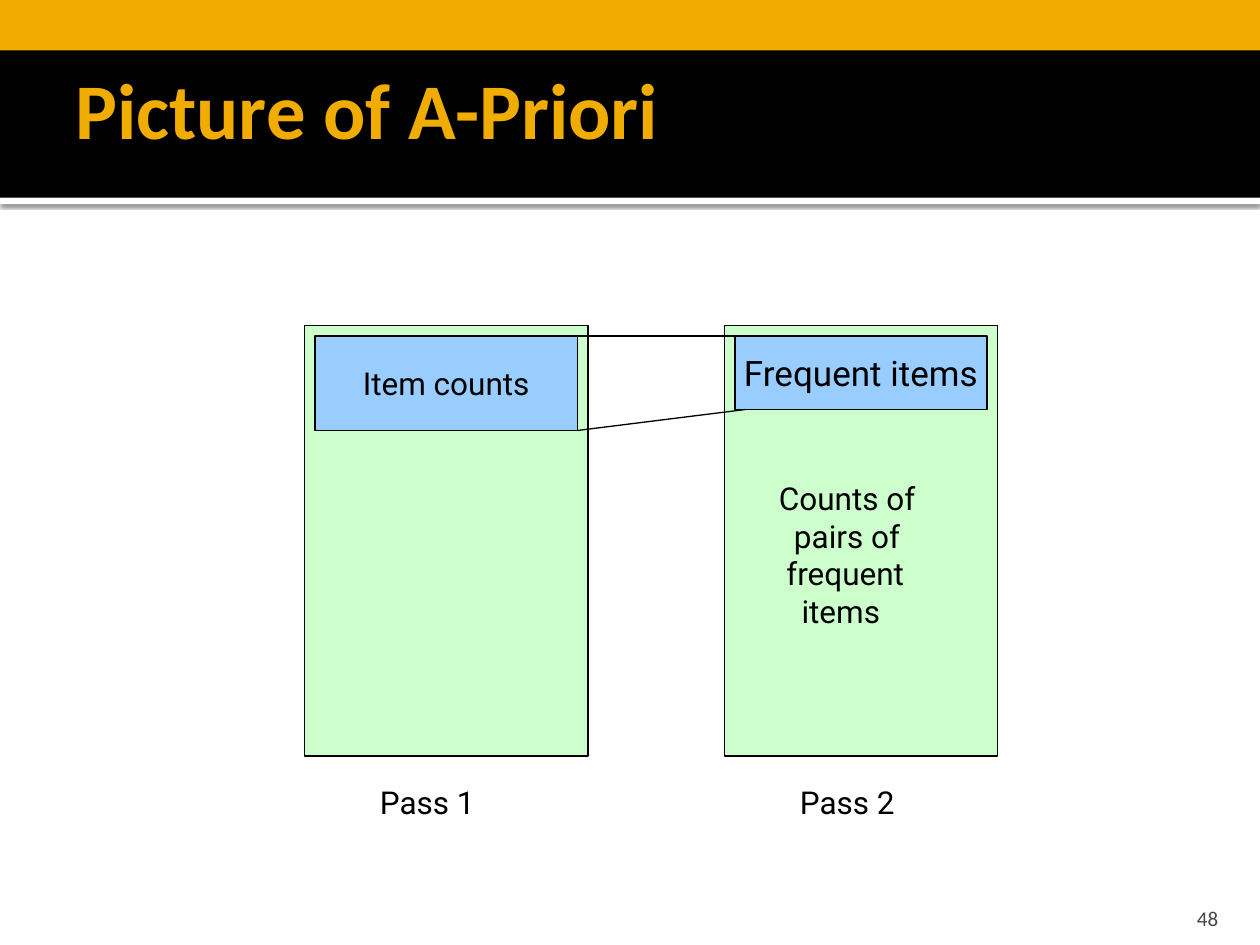
from lxml.etree import SubElement
from pptx import Presentation
from pptx.dml.color import RGBColor
from pptx.enum.shapes import MSO_CONNECTOR, MSO_SHAPE
from pptx.enum.text import MSO_ANCHOR, PP_ALIGN
from pptx.oxml.ns import qn
from pptx.util import Inches, Pt

CELL = Inches(1) // 12  # the slide is a grid of 120 columns by 90 rows
BLACK, WHITE, GOLD, GREY = "000000", "FFFFFF", "F0AD00", "454545"
GREEN, BLUE = "CCFFCC", "99CCFF"
TOP = 31  # row where the memory of both passes begins
ITEMS_TOP = TOP + 1
SPACE = Inches(0.06)  # one step of indent


def cells(*counts):
    return [round(count * CELL) for count in counts]


def paint(colour_format, colour):
    colour_format.rgb = RGBColor.from_string(colour)


def outline(line):
    line.width = Pt(0.75)
    line.fill.solid()
    paint(line.color, BLACK)


def write(shape, lines, size=18, font="Roboto", colour=BLACK, bold=False,
          align=PP_ALIGN.LEFT, indents=(), **frame_format):
    """Fill a shape with one paragraph per line, indented by steps."""
    frame = shape.text_frame
    frame.word_wrap = True
    for name, value in frame_format.items():
        setattr(frame, name, value)
    frame.text = "\n".join(lines)
    for paragraph in frame.paragraphs:
        paragraph.alignment = align
        font_format = {"name": font, "size": Pt(size), "bold": bold}
        for name, value in font_format.items():
            setattr(paragraph.runs[0].font, name, value)
        paint(paragraph.runs[0].font.color, colour)
    for paragraph, steps in zip(frame.paragraphs, indents):
        paragraph._p.get_or_add_pPr().set("marL", str(steps * SPACE))


def rectangle(slide, at, fill, outlined=True):
    shape = slide.shapes.add_shape(MSO_SHAPE.RECTANGLE, *cells(*at))
    shape.shadow.inherit = False
    shape.fill.solid()
    paint(shape.fill.fore_color, fill)
    if outlined:
        outline(shape.line)
    else:
        shape.line.fill.background()
    return shape


def items_block(slide, at, label, size):
    write(rectangle(slide, at, BLUE), [label], size, align=PP_ALIGN.CENTER,
          word_wrap=False, vertical_anchor=MSO_ANCHOR.MIDDLE)


def label(slide, at, lines, **text_format):
    write(slide.shapes.add_textbox(*cells(*at)), lines, **text_format)


def link(slide, start, end):
    connector = slide.shapes.add_connector(
        MSO_CONNECTOR.STRAIGHT, *cells(*start, *end))
    outline(connector.line)
    SubElement(connector._element.spPr, qn("a:effectLst"))


def cast_shadow(shape):
    """Add a soft shadow straight below the shape."""
    effects = shape._element.spPr.find(qn("a:effectLst"))
    shadow = SubElement(effects, qn("a:outerShdw"), blurRad=str(Pt(2.5)),
                        dist=str(Pt(0.8)), dir="5400000", rotWithShape="0")
    colour = SubElement(shadow, qn("a:srgbClr"), val=BLACK)
    SubElement(colour, qn("a:alpha"), val="60000")


def header(slide, title):
    bar = 18.84
    cast_shadow(rectangle(slide, (0, bar, 120, 0.6), WHITE, outlined=False))
    rectangle(slide, (0, 0, 120, bar), BLACK, outlined=False)
    rectangle(slide, (0, 0, 120, 4.8), GOLD, outlined=False)
    label(slide, (6, 2, 108, 16.5), [title], size=45, font="Calibri",
          colour=GOLD, bold=True, vertical_anchor=MSO_ANCHOR.MIDDLE,
          margin_right=Inches(0.05))


def main():
    prs = Presentation()
    prs.slide_width, prs.slide_height = cells(120, 90)
    slide = prs.slides.add_slide(prs.slide_layouts[6])

    header(slide, "Picture of A-Priori")
    for left, width, name in ((29, 27, "Pass 1"), (69, 26, "Pass 2")):
        rectangle(slide, (left, TOP, width, 41), GREEN)
        label(slide, (left + 6, 74, 14, 6), [name])

    items_block(slide, (30, ITEMS_TOP, 25, 9), "Item counts", 18)
    items_block(slide, (70, ITEMS_TOP, 24, 7), "Frequent items", 20)
    link(slide, (55, ITEMS_TOP), (70, ITEMS_TOP))
    link(slide, (55, ITEMS_TOP + 9), (71, ITEMS_TOP + 7))
    label(slide, (73, 45, 19, 20),
          ["Counts of", "pairs of", "frequent", "items"],
          indents=(0, 2, 1, 3))

    label(slide, (107.6, 85, 9.6, 3.6), ["48"], size=12, font="Calibri",
          colour=GREY, align=PP_ALIGN.RIGHT,
          vertical_anchor=MSO_ANCHOR.BOTTOM, margin_bottom=0)
    prs.save("out.pptx")


if __name__ == "__main__":
    main()
